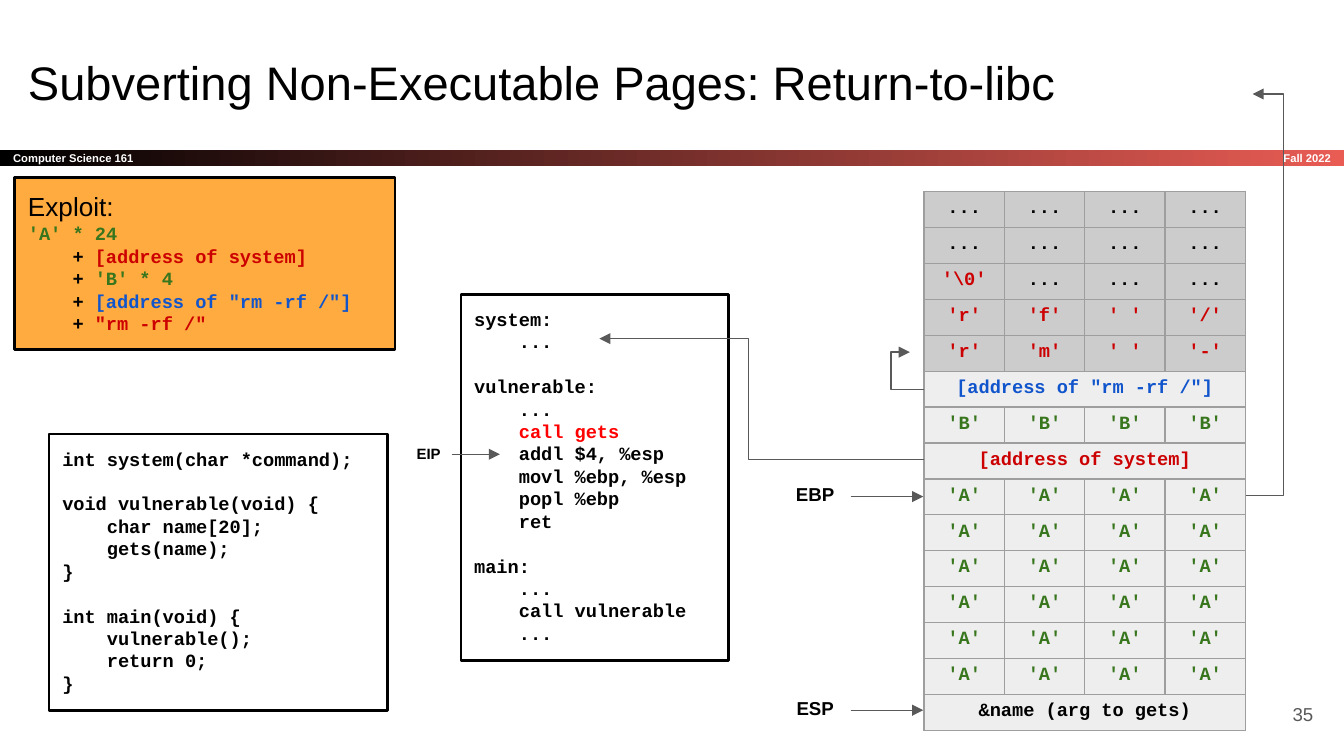
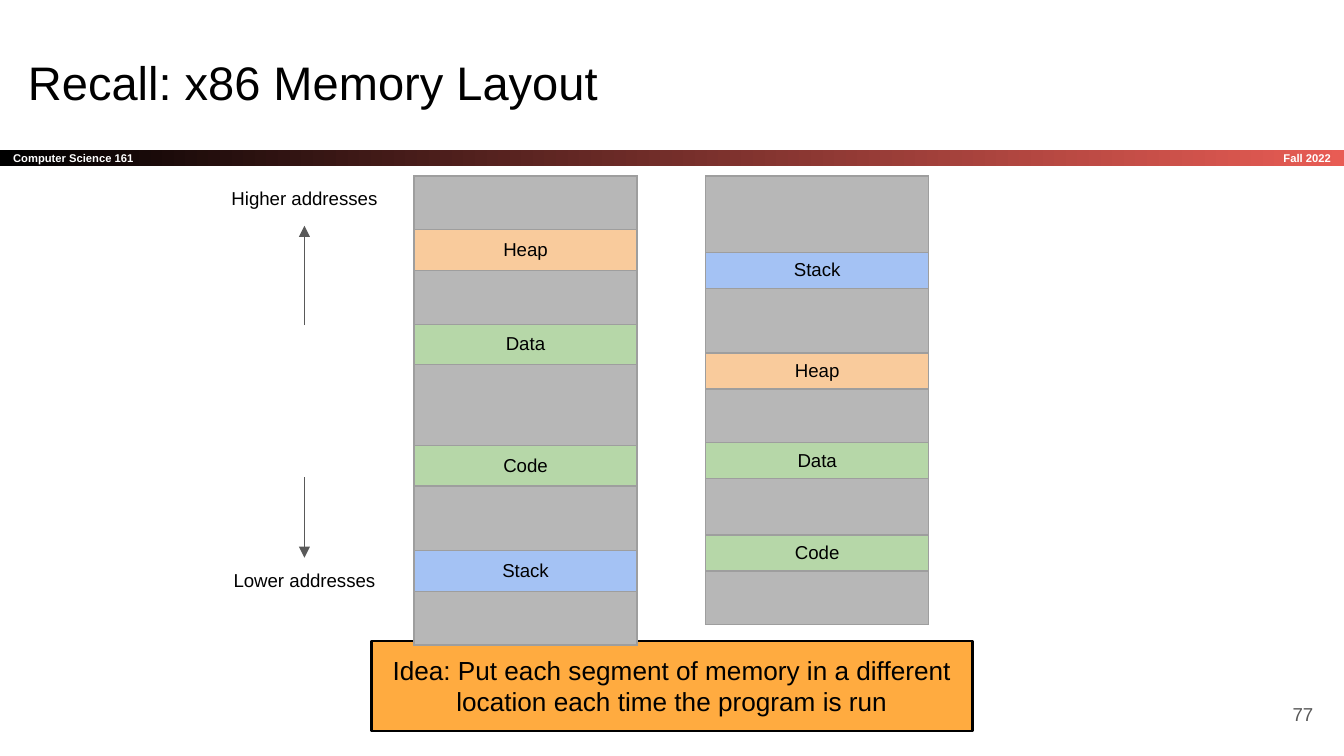
"""Two lecture slides on memory safety: return-to-libc and shuffled memory segments."""
from dataclasses import dataclass
from typing import NamedTuple, Optional, Sequence

from lxml.etree import SubElement
from pptx import Presentation
from pptx.dml.color import RGBColor
from pptx.enum.shapes import MSO_CONNECTOR, MSO_SHAPE
from pptx.enum.text import MSO_ANCHOR, PP_ALIGN
from pptx.oxml.ns import qn
from pptx.shapes.autoshape import Shape
from pptx.slide import Slide
from pptx.table import Table
from pptx.text.text import TextFrame
from pptx.util import Emu, Inches, Pt

COLUMNS, ROWS = 100, 56.25
TOP, LEFT, BOTTOM, RIGHT = range(4)


class Style(NamedTuple):
    """Type face, size and weight of a kind of text."""
    font: str
    size: float
    bold: bool = False


@dataclass(frozen=True)
class Theme:
    """Colours, text styles and line widths of the deck."""
    ink: str = "000000"
    paper: str = "FFFFFF"
    band_end: str = "E85C54"
    accent: str = "FFAB40"
    arrow: str = "595959"
    border: str = "9E9E9E"
    red: str = "CC0000"
    call: str = "FF0000"
    blue: str = "1155CC"
    green: str = "38761D"
    used: str = "EEEEEE"
    above: str = "CCCCCC"
    free: str = "B7B7B7"
    heap: str = "F9CB9C"
    static: str = "B6D7A8"
    stack: str = "A4C2F4"
    title: Style = Style("Arial", 25.2)
    callout: Style = Style("Arial", 14)
    label: Style = Style("Arial", 10)
    register: Style = Style("Arial", 10, True)
    pointer: Style = Style("Arial", 8, True)
    footer: Style = Style("Arial", 6, True)
    code: Style = Style("Courier New", 10, True)
    code_line: float = 12
    thin: float = 0.75
    thick: float = 1.5


THEME = Theme()


class Frame(NamedTuple):
    """Place on the grid, in columns and rows."""
    left: float
    top: float
    width: float
    height: float


class Span(NamedTuple):
    """Piece of text in one colour."""
    text: str
    color: str = THEME.ink


@dataclass(frozen=True)
class Line:
    """Paragraph made of spans, with an optional gap above it."""
    spans: Sequence[Span]
    style: Style = THEME.code
    gap: float = 0


class StackRow(NamedTuple):
    """Row of stack cells; a single word covers the whole row."""
    words: Sequence[str]
    color: str
    fill: str


class Segment(NamedTuple):
    """Memory segment with its height in rows."""
    name: str
    fill: str
    height: float


def grid(cells: float) -> Emu:
    """Turn grid cells into a length."""
    return Inches(cells / 10)


def rgb(color: str) -> RGBColor:
    """Turn a hex string into a colour."""
    return RGBColor.from_string(color)


def write(text: TextFrame, lines: Sequence[Line], align: PP_ALIGN = PP_ALIGN.LEFT) -> None:
    """Fill a text frame run by run."""
    for index, line in enumerate(lines):
        para = text.add_paragraph() if index else text.paragraphs[0]
        para.alignment = align
        if line.gap:
            para.space_before = Pt(line.gap)
        for span in line.spans:
            run = para.add_run()
            run.text = span.text
            run.font.name = line.style.font
            run.font.size = Pt(line.style.size)
            run.font.bold = line.style.bold
            run.font.color.rgb = rgb(span.color)


def prepare(text: TextFrame, inset: float, anchor: MSO_ANCHOR) -> None:
    """Set wrapping, margins and anchor of a text frame."""
    text.word_wrap = True
    text.vertical_anchor = anchor
    text.margin_left = text.margin_right = grid(inset)
    text.margin_top = text.margin_bottom = grid(inset)


def add_label(page: Slide, frame: Frame, words: str, style: Style,
              align: PP_ALIGN = PP_ALIGN.CENTER, color: str = THEME.ink,
              inset: float = 1, anchor: MSO_ANCHOR = MSO_ANCHOR.TOP) -> Shape:
    """Draw a plain text box with one line."""
    box = page.shapes.add_textbox(*map(grid, frame))
    prepare(box.text_frame, inset, anchor)
    write(box.text_frame, [Line([Span(words, color)], style)], align)
    return box


def add_box(page: Slide, frame: Frame, fill: str, lines: Sequence[Line],
            align: PP_ALIGN = PP_ALIGN.LEFT) -> None:
    """Draw an outlined rectangle with text."""
    box = page.shapes.add_shape(MSO_SHAPE.RECTANGLE, *map(grid, frame))
    box.shadow.inherit = False
    box.fill.solid()
    box.fill.fore_color.rgb = rgb(fill)
    box.line.color.rgb = rgb(THEME.ink)
    box.line.width = Pt(THEME.thick)
    prepare(box.text_frame, 1, MSO_ANCHOR.TOP)
    write(box.text_frame, lines, align)


def add_band(page: Slide) -> None:
    """Draw the gradient band with course and term."""
    frame = Frame(0, 11.15, COLUMNS, 1.2)
    band = page.shapes.add_shape(MSO_SHAPE.RECTANGLE, *map(grid, frame))
    band.shadow.inherit = False
    band.line.fill.background()
    band.fill.gradient()
    band.fill.gradient_angle = 0
    for stop, color, place in zip(band.fill.gradient_stops, (THEME.ink, THEME.band_end), (0, 1)):
        stop.color.rgb = rgb(color)
        stop.position = place
    prepare(band.text_frame, 1, MSO_ANCHOR.MIDDLE)
    write(band.text_frame, [Line([Span("Computer Science 161", THEME.paper)], THEME.footer)])
    add_label(page, Frame(83.4, frame.top, 16.6, frame.height), "Fall 2022", THEME.footer,
              PP_ALIGN.RIGHT, THEME.paper, anchor=MSO_ANCHOR.MIDDLE)


def add_page(deck: Presentation, title: str, number: int) -> Slide:
    """Add a slide with band, title and page number."""
    page = deck.slides.add_slide(deck.slide_layouts[6])
    add_band(page)
    add_label(page, Frame(1.1, 3, 93.2, 6.3), title, THEME.title, PP_ALIGN.LEFT)
    add_label(page, Frame(92.7, 51, 6, 4.3), str(number), THEME.label, PP_ALIGN.RIGHT,
              THEME.arrow, anchor=MSO_ANCHOR.MIDDLE)
    return page


def style_arrow(shape: Shape) -> None:
    """Give a line its colour, width and arrowhead."""
    shape.line.color.rgb = rgb(THEME.arrow)
    shape.line.width = Pt(THEME.thin)
    outline = shape.line._get_or_add_ln()
    SubElement(outline, qn("a:tailEnd"), type="triangle")


def add_arrow(page: Slide, start: tuple[float, float], end: tuple[float, float],
              source: Optional[tuple[Shape, int]] = None,
              target: Optional[tuple[Shape, int]] = None) -> None:
    """Draw a straight arrow, joined to a box side where one is given."""
    arrow = page.shapes.add_connector(MSO_CONNECTOR.STRAIGHT, *map(grid, (*start, *end)))
    if source:
        arrow.begin_connect(*source)
    if target:
        arrow.end_connect(*target)
    style_arrow(arrow)
    SubElement(arrow._element.spPr, qn("a:effectLst"))


def add_route(page: Slide, points: Sequence[tuple[float, float]]) -> None:
    """Draw a bent arrow through the points."""
    corners = [(grid(x), grid(y)) for x, y in points]
    builder = page.shapes.build_freeform(*corners[0])
    builder.add_line_segments(corners[1:], close=False)
    route = builder.convert_to_shape()
    route.shadow.inherit = False
    route.fill.background()
    style_arrow(route)


def add_register(page: Slide, frame: Frame, name: str, style: Style,
                 inset: float, reach: float) -> None:
    """Draw a register name with an arrow from its right side."""
    box = add_label(page, frame, name, style, inset=inset)
    x, y = frame.left + frame.width, frame.top + frame.height / 2
    add_arrow(page, (x, y), (x + reach, y), source=(box, RIGHT))


def add_grid_table(page: Slide, left: float, top: float, widths: Sequence[float],
                   heights: Sequence[float]) -> Table:
    """Add an unstyled table with the given columns and rows."""
    frame = Frame(left, top, sum(widths), sum(heights))
    table = page.shapes.add_table(len(heights), len(widths), *map(grid, frame)).table
    table.first_row = table.horz_banding = False
    for column, width in zip(table.columns, widths):
        column.width = grid(width)
    for row, height in zip(table.rows, heights):
        row.height = grid(height)
    return table


def fill_cell(table: Table, row: int, column: int, fill: str, word: str,
              style: Style, color: str, anchor: MSO_ANCHOR) -> None:
    """Give a cell its border, fill and centred word."""
    cell = table.cell(row, column)
    properties = cell._tc.get_or_add_tcPr()
    for side in ("lnL", "lnR", "lnT", "lnB"):
        edge = SubElement(properties, qn(f"a:{side}"), w=str(Pt(THEME.thin)))
        paint = SubElement(edge, qn("a:solidFill"))
        SubElement(paint, qn("a:srgbClr"), val=THEME.border)
    cell.fill.solid()
    cell.fill.fore_color.rgb = rgb(fill)
    cell.vertical_anchor = anchor
    cell.margin_left = cell.margin_right = grid(0.5)
    cell.margin_top = cell.margin_bottom = grid(0.5)
    if word:
        write(cell.text_frame, [Line([Span(word, color)], style)], PP_ALIGN.CENTER)


def add_stack(page: Slide, rows: Sequence[StackRow]) -> None:
    """Draw the stack as a table of bytes."""
    table = add_grid_table(page, 68.75, 14.25, [5.98] * 4, [40 / len(rows)] * len(rows))
    for index, row in enumerate(rows):
        if len(row.words) == 1:
            table.cell(index, 0).merge(table.cell(index, 3))
        for column in range(4):
            word = row.words[column] if column < len(row.words) else ""
            color = THEME.ink if word == "..." else row.color
            fill_cell(table, index, column, row.fill, word, THEME.code, color, MSO_ANCHOR.TOP)


def add_memory(page: Slide, left: float, segments: Sequence[Segment]) -> None:
    """Draw a memory layout as a column of segments."""
    table = add_grid_table(page, left, 13.1, [16.6], [part.height for part in segments])
    for index, part in enumerate(segments):
        fill_cell(table, index, 0, part.fill, part.name, THEME.label, THEME.ink, MSO_ANCHOR.MIDDLE)


def code_lines(source: str, marks: Sequence[str] = ()) -> list[Line]:
    """Turn code into lines, with gaps for empty lines and marked lines in red."""
    lines, gap = [], 0.0
    for text in source.split("\n"):
        if text:
            color = THEME.call if text.strip() in marks else THEME.ink
            lines.append(Line([Span(text, color)], gap=gap))
        gap = 0 if text else THEME.code_line
    return lines


PROGRAM = """int system(char *command);

void vulnerable(void) {
    char name[20];
    gets(name);
}

int main(void) {
    vulnerable();
    return 0;
}"""

ASSEMBLY = """system:
    ...

vulnerable:
    ...
    call gets
    addl $4, %esp
    movl %ebp, %esp
    popl %ebp
    ret

main:
    ...
    call vulnerable
    ..."""

PAYLOAD = [Span("[address of system]", THEME.red), Span("'B' * 4", THEME.green),
           Span('[address of "rm -rf /"]', THEME.blue), Span('"rm -rf /"', THEME.red)]

STACK = [
    *[StackRow(["..."] * 4, THEME.ink, THEME.above)] * 2,
    StackRow(["'\\0'", "...", "...", "..."], THEME.red, THEME.above),
    StackRow(["'r'", "'f'", "' '", "'/'"], THEME.red, THEME.above),
    StackRow(["'r'", "'m'", "' '", "'-'"], THEME.red, THEME.above),
    StackRow(['[address of "rm -rf /"]'], THEME.blue, THEME.used),
    StackRow(["'B'"] * 4, THEME.green, THEME.used),
    StackRow(["[address of system]"], THEME.red, THEME.used),
    *[StackRow(["'A'"] * 4, THEME.green, THEME.used)] * 6,
    StackRow(["&name (arg to gets)"], THEME.ink, THEME.used),
]

FILLS = {"": THEME.free, "Heap": THEME.heap, "Data": THEME.static,
         "Code": THEME.static, "Stack": THEME.stack}


def segments(names: Sequence[str], gaps: Sequence[float], height: float) -> list[Segment]:
    """Set named segments of one height between free gaps."""
    parts = [Segment("", FILLS[""], gaps[0])]
    for name, gap in zip(names, gaps[1:]):
        parts += [Segment(name, FILLS[name], height), Segment("", FILLS[""], gap)]
    return parts


def build_return_to_libc(deck: Presentation) -> None:
    """Build the slide on the return-to-libc exploit."""
    page = add_page(deck, "Subverting Non-Executable Pages: Return-to-libc", 35)
    add_register(page, Frame(58, 51, 5.3, 3.7), "ESP", THEME.register, 1, 5.4)
    add_stack(page, STACK)
    exploit = [Line([Span("Exploit:")], THEME.callout), Line([Span("'A' * 24", THEME.green)])]
    exploit += [Line([Span("    + "), part]) for part in PAYLOAD]
    add_box(page, Frame(1.1, 13.2, 28.3, 12.8), THEME.accent, exploit)
    add_box(page, Frame(34.3, 21.9, 19.9, 27.25), THEME.paper, code_lines(ASSEMBLY, ["call gets"]))
    add_register(page, Frame(30.2, 32.6, 3.4, 2.4), "EIP", THEME.pointer, 0.5, 3.6)
    add_route(page, [(92.7, 36.85), (95.5, 36.85), (95.5, 7), (93.2, 7)])
    add_route(page, [(68.75, 29), (66.3, 29), (66.3, 26.2), (67.7, 26.2)])
    add_register(page, Frame(58, 35.1, 5.3, 3.7), "EBP", THEME.register, 1, 5.4)
    add_box(page, Frame(3.65, 32.3, 25.2, 20.55), THEME.paper, code_lines(PROGRAM))
    add_route(page, [(68.75, 34.2), (55.7, 34.2), (55.7, 25.2), (44.6, 25.2)])


def build_memory_layout(deck: Presentation) -> None:
    """Build the slide on shuffled memory segments."""
    page = add_page(deck, "Recall: x86 Memory Layout", 77)
    for words, top, start, end, side in (("Higher addresses", 13.1, 24.2, 16.8, BOTTOM),
                                         ("Lower addresses", 41.5, 35.5, 41.5, TOP)):
        frame = Frame(15.8, top, 13.7, 3.7)
        box = add_label(page, frame, words, THEME.label)
        middle = frame.left + frame.width / 2
        add_arrow(page, (middle, start), (middle, end), target=(box, side))
    add_memory(page, 52.5, segments(["Stack", "Heap", "Data", "Code"], [5.7, 4.8, 4, 4.2, 4], 2.67))
    idea = "Idea: Put each segment of memory in a different location each time the program is run"
    add_box(page, Frame(27.65, 47.7, 44.7, 6.7), THEME.accent,
            [Line([Span(idea)], THEME.callout)], PP_ALIGN.CENTER)
    add_memory(page, 30.8, segments(["Heap", "Data", "Code", "Stack"], [4, 4, 6, 4.8, 4], 3.02))


def main() -> None:
    """Build and save the deck."""
    deck = Presentation()
    deck.slide_width, deck.slide_height = grid(COLUMNS), grid(ROWS)
    build_return_to_libc(deck)
    build_memory_layout(deck)
    deck.save("out.pptx")


if __name__ == "__main__":
    main()
